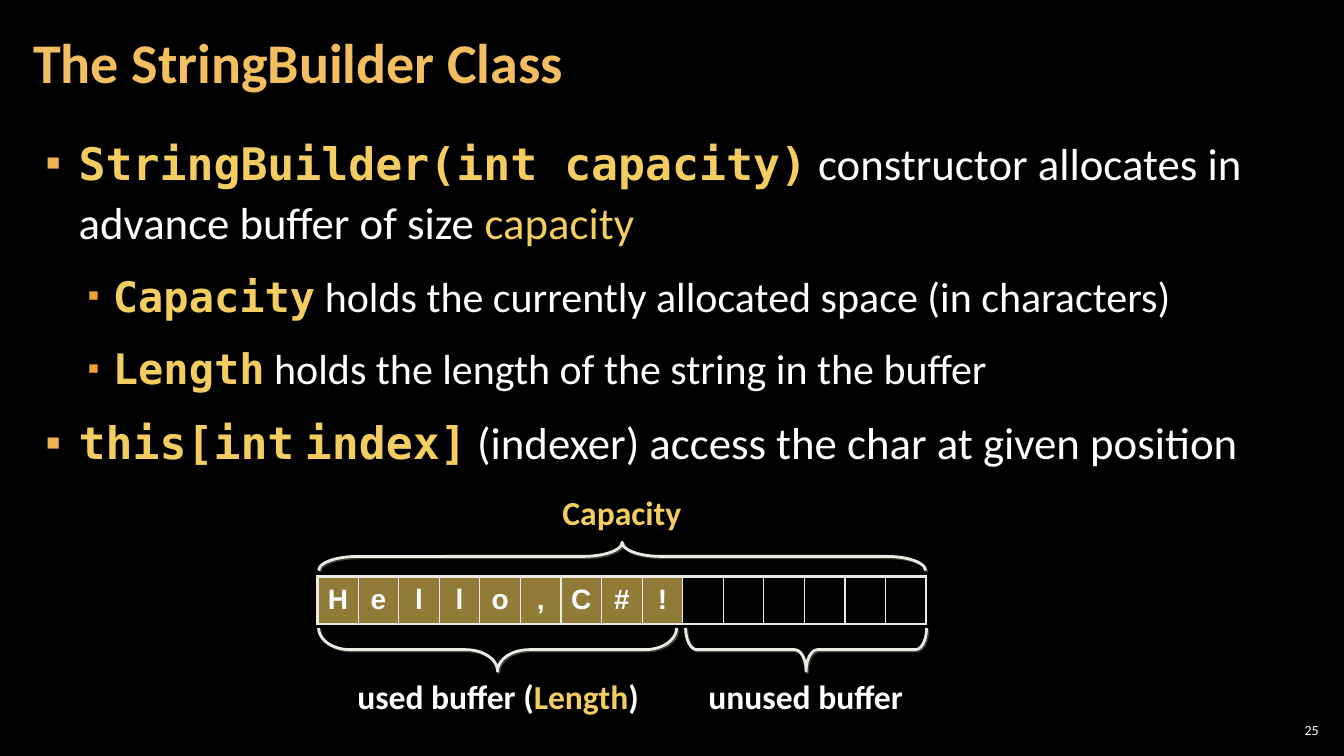
"""Build the slide on StringBuilder capacity and length."""
from dataclasses import dataclass
from typing import Any, NamedTuple, Optional

import pptx
import pptx.dml.color
import pptx.enum.shapes
import pptx.enum.text
import pptx.oxml
import pptx.oxml.ns
import pptx.util

RGBColor = pptx.dml.color.RGBColor
BLACK = RGBColor(0x00, 0x00, 0x00)
WHITE = RGBColor(0xFF, 0xFF, 0xFF)
GOLD = RGBColor(0xF3, 0xCD, 0x60)
TITLE_GOLD = RGBColor(0xF3, 0xBE, 0x60)
BULLET_GOLD = RGBColor(0xF2, 0xB2, 0x54)
SUB_BULLET = RGBColor(0xF0, 0xA2, 0x2E)
LINE = RGBColor(0xEC, 0xEA, 0xE3)
SHADOW = RGBColor(0x40, 0x40, 0x40)

SANS, MONO, ARIAL = "Calibri", "DejaVu Sans Mono", "Arial"
ALIGN = pptx.enum.text.PP_ALIGN
ANCHOR = pptx.enum.text.MSO_ANCHOR
EMU_PER_PX = 9144
CELL_COUNT = 15
STORED = "Hello,C#!"


class Box(NamedTuple):
    """Place and size in px."""
    left: int
    top: int
    width: int
    height: int


class Run(NamedTuple):
    """Text with one format."""
    text: str
    color: RGBColor = WHITE
    bold: bool = False
    font: str = SANS


class Bullet(NamedTuple):
    """Bullet colour, size and indent of one list level."""
    color: RGBColor
    percent: int
    margin: int
    hang: int


@dataclass
class Para:
    """Runs of one paragraph."""
    runs: list[Run]
    size: int
    bullet: Optional[Bullet] = None


@dataclass
class Label:
    """Caption near a brace."""
    box: Box
    runs: list[Run]
    wrap: bool = True


@dataclass
class Brace:
    """Rotated left brace."""
    box: Box
    rotation: int
    curl: float


TOP = Bullet(BULLET_GOLD, 100, 33, 33)
SUB = Bullet(SUB_BULLET, 80, 67, 25)

BODY = [
    Para([Run("StringBuilder(int capacity)", GOLD, True, MONO),
          Run(" constructor allocates in advance buffer of size "),
          Run("capacity", GOLD)], 32, TOP),
    Para([Run("Capacity", GOLD, True, MONO),
          Run(" holds the currently allocated space (in characters)")], 30, SUB),
    Para([Run("Length", GOLD, True, MONO),
          Run(" holds the length of the string in the buffer")], 30, SUB),
    Para([Run("this[int", GOLD, True, MONO), Run(" ", GOLD, True),
          Run("index]", GOLD, True, MONO),
          Run(" (indexer) access the char at given position")], 32, TOP),
]
BRACES = [
    Brace(Box(472, 467, 43, 355), 270, 0.73),
    Brace(Box(778, 525, 43, 239), 270, 0.26),
    Brace(Box(603, 251, 28, 602), 90, 1.38),
]
LABELS = [
    Label(Box(548, 483, 139, 50), [Run("Capacity", GOLD, True)], False),
    Label(Box(317, 666, 354, 50), [Run("used buffer (", WHITE, True),
                                   Run("Length", GOLD, True),
                                   Run(")", WHITE, True)]),
    Label(Box(665, 666, 268, 50), [Run("unused buffer", WHITE, True)]),
]


def px(n: int) -> pptx.util.Emu:
    """Turn px into EMU."""
    return pptx.util.Emu(n * EMU_PER_PX)


def xml(body: str) -> Any:
    """Make a DrawingML element."""
    tag, rest = body[:body.index(" ")], body[body.index(" "):]
    return pptx.oxml.parse_xml(f"{tag} {pptx.oxml.ns.nsdecls('a')}{rest}")


def add_bullet(p: Any, bullet: Bullet) -> None:
    """Give a paragraph a square bullet and a hanging indent."""
    pPr = p._p.get_or_add_pPr()
    pPr.set("marL", str(px(bullet.margin)))
    pPr.set("indent", str(-px(bullet.hang)))
    pPr.append(xml(f'<a:buClr ><a:srgbClr val="{bullet.color}"/></a:buClr>'))
    pPr.append(xml(f'<a:buSzPct val="{bullet.percent * 1000}"/>'))
    pPr.append(xml(f'<a:buFont typeface="{ARIAL}"/>'))
    pPr.append(xml('<a:buChar char="▪"/>'))


def add_runs(p: Any, runs: list[Run], size: int) -> None:
    """Fill a paragraph with runs."""
    for run in runs:
        r = p.add_run()
        r.text = run.text
        r.font.size = pptx.util.Pt(size)
        r.font.name = run.font
        r.font.bold = run.bold
        r.font.color.rgb = run.color


def add_text(s: Any, box: Box, paras: list[Para], *, inset: tuple[int, int] = (10, 5),
             anchor: Any = ANCHOR.TOP, align: Any = ALIGN.LEFT, spacing: float = 1.0,
             gap: int = 0, wrap: bool = True, grow: bool = False) -> None:
    """Add a text box."""
    tf = s.shapes.add_textbox(*map(px, box)).text_frame
    tf.word_wrap = wrap
    tf.vertical_anchor = anchor
    tf.margin_left = tf.margin_right = px(inset[0])
    tf.margin_top = tf.margin_bottom = px(inset[1])
    if grow:
        tf.auto_size = pptx.enum.text.MSO_AUTO_SIZE.SHAPE_TO_FIT_TEXT
    for i, para in enumerate(paras):
        p = tf.add_paragraph() if i else tf.paragraphs[0]
        p.alignment = align
        p.line_spacing = spacing
        p.space_before = pptx.util.Pt(gap if i else 0)
        p.space_after = pptx.util.Pt(gap)
        if para.bullet:
            add_bullet(p, para.bullet)
        add_runs(p, para.runs, para.size)


def add_borders(cell: Any, first: bool, last: bool) -> None:
    """Draw thick outer and thin inner cell borders."""
    widths = {"lnL": 2.25 if first else 1, "lnR": 2.25 if last else 1,
              "lnT": 2.25, "lnB": 2.25}
    tcPr = cell._tc.get_or_add_tcPr()
    for i, (tag, width) in enumerate(widths.items()):
        tcPr.insert(i, xml(f'<a:{tag} w="{pptx.util.Pt(width)}"><a:solidFill>'
                           f'<a:srgbClr val="{LINE}"/></a:solidFill></a:{tag}>'))


def add_buffer(s: Any, box: Box) -> None:
    """Add the row of buffer cells."""
    table = s.shapes.add_table(1, CELL_COUNT, *map(px, box)).table
    table.first_row = table.horz_banding = False
    table.rows[0].height = px(box.height)
    for i in range(CELL_COUNT):
        table.columns[i].width = px(box.width) // CELL_COUNT
        cell = table.cell(0, i)
        cell.margin_left = cell.margin_right = 0
        cell.vertical_anchor = ANCHOR.MIDDLE
        if i < len(STORED):
            cell.fill.solid()
            cell.fill.fore_color.rgb = GOLD
            color = cell._tc.tcPr.find(".//" + pptx.oxml.ns.qn("a:srgbClr"))
            color.append(xml('<a:alpha val="60000"/>'))
            p = cell.text_frame.paragraphs[0]
            p.alignment = ALIGN.CENTER
            p.line_spacing = 0.95
            add_runs(p, [Run(STORED[i], WHITE, True, ARIAL)], 20)
        else:
            cell.fill.background()
        add_borders(cell, i == 0, i == CELL_COUNT - 1)


def add_brace(s: Any, brace: Brace) -> None:
    """Add a brace with a small hard shadow."""
    sp = s.shapes.add_shape(pptx.enum.shapes.MSO_SHAPE.LEFT_BRACE, *map(px, brace.box))
    sp.rotation = brace.rotation
    sp.adjustments[0] = brace.curl
    sp.fill.background()
    sp.line.color.rgb = LINE
    sp.line.width = pptx.util.Pt(2)
    sp.shadow.inherit = False
    effects = sp._element.spPr.find(pptx.oxml.ns.qn("a:effectLst"))
    effects.append(xml(f'<a:outerShdw dist="{pptx.util.Pt(1.4)}" dir="2700000" '
                       f'rotWithShape="0"><a:srgbClr val="{SHADOW}"/></a:outerShdw>'))


def main() -> None:
    """Build and save the slide."""
    prs = pptx.Presentation()
    prs.slide_width, prs.slide_height = px(1333), px(750)
    s = prs.slides.add_slide(prs.slide_layouts[6])
    s.background.fill.solid()
    s.background.fill.fore_color.rgb = BLACK
    add_text(s, Box(21, 4, 1047, 121),
             [Para([Run("The StringBuilder Class", TITLE_GOLD, True)], 40)],
             inset=(12, 4), anchor=ANCHOR.MIDDLE, spacing=0.9)
    add_text(s, Box(33, 125, 1225, 589), BODY, inset=(12, 4), spacing=1.1, gap=6)
    add_text(s, Box(1265, 714, 47, 21), [Para([Run("25")], 10)],
             inset=(4, 4), anchor=ANCHOR.MIDDLE, align=ALIGN.RIGHT)
    add_buffer(s, Box(315, 572, 604, 47))
    for brace in BRACES:
        add_brace(s, brace)
    for label in LABELS:
        add_text(s, label.box, [Para(label.runs, 24)], wrap=label.wrap, grow=True,
                 align=ALIGN.CENTER if label.wrap else ALIGN.LEFT)
    prs.save("out.pptx")


if __name__ == "__main__":
    main()
